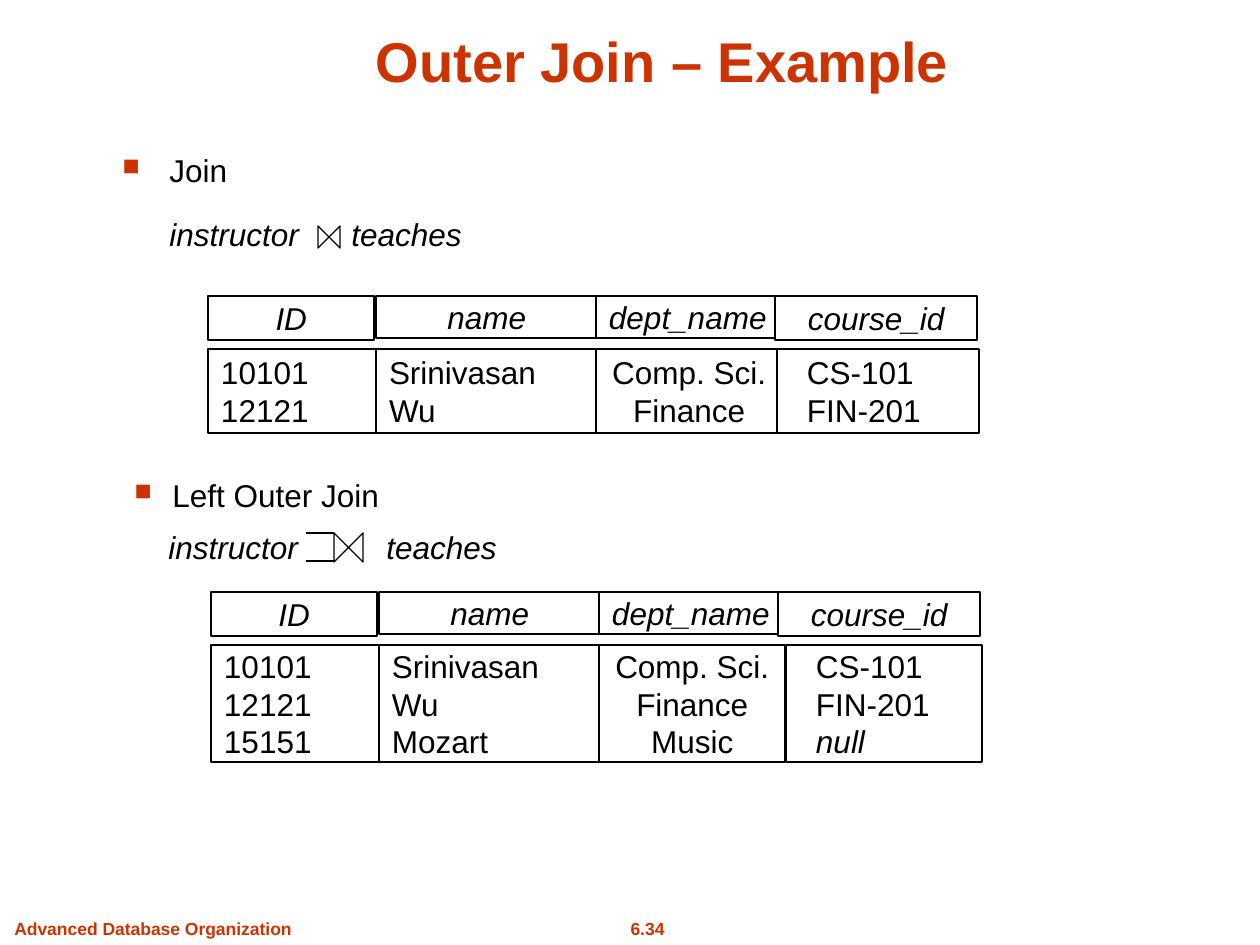
from lxml import etree
from pptx import Presentation
from pptx.dml.color import RGBColor
from pptx.enum.shapes import MSO_CONNECTOR, MSO_SHAPE
from pptx.enum.text import MSO_ANCHOR, PP_ALIGN
from pptx.oxml.ns import qn
from pptx.util import Pt

LEFT, CENTER = PP_ALIGN.LEFT, PP_ALIGN.CENTER
TOP, MIDDLE, BOTTOM = MSO_ANCHOR.TOP, MSO_ANCHOR.MIDDLE, MSO_ANCHOR.BOTTOM
RECT, BOWTIE = MSO_SHAPE.RECTANGLE, MSO_SHAPE.FLOWCHART_COLLATE
STRAIGHT = MSO_CONNECTOR.STRAIGHT
PX = 914400 // 126
FONT = "Arial"
C = {"accent": "CC3300", "ink": "000000", "paper": "FFFFFF"}

LABELS = [
    ("Outer Join – Example", (106, 16, 1113, 84), 32, CENTER, BOTTOM),
    ("Advanced Database Organization", (2, 912, 306, 34), 10, LEFT, TOP),
    ("6.34", (586, 912, 123, 34), 10, CENTER, TOP),
]

SECTIONS = [
    {"heading": "Join", "at": (110, 145), "hang": 47,
     "operands": [("instructor", 157), ("teaches", 339)],
     "operand_y": 209, "bowtie": (318, 226, 22)},
    {"heading": "Left Outer Join", "at": (122, 470), "hang": 38,
     "operands": [("instructor", 156), ("teaches", 374)],
     "operand_y": 522, "bowtie": (334, 533, 29)},
]
HEADING_W, OPERAND_W, LINE_H = 583, 160, 49
OUTER_BARS = [(306, 533, 334), (306, 561, 334)]

COLUMNS = [
    {"name": "ID", "x": 0, "head": (166, 44), "body": 170, "align": LEFT, "inset": 13},
    {"name": "name", "x": 168, "head": (221, 42), "body": 221, "align": LEFT, "inset": 13},
    {"name": "dept_name", "x": 388, "head": (183, 42), "body": 186, "align": CENTER, "inset": 13},
    {"name": "course_id", "x": 567, "head": (202, 44), "body": 202, "align": LEFT, "inset": 30},
]
ROWS = [
    ("10101", "Srinivasan", "Comp. Sci.", "CS-101"),
    ("12121", "Wu", "Finance", "FIN-201"),
    ("15151", "Mozart", "Music", "null"),
]
TABLES = [
    {"at": (208, 296), "rows": ROWS[:2], "height": 84, "course_shift": 2},
    {"at": (211, 592), "rows": ROWS, "height": 117, "course_shift": 8},
]
BODY_DROP = 53


def px(*values):
    return [round(v * PX) for v in values]


def add_run(p, text, size=18, color="ink", bold=False, italic=False):
    r = p.add_run()
    r.text = text
    r.font.name, r.font.size = FONT, Pt(size)
    r.font.bold, r.font.italic = bold, italic
    r.font.color.rgb = RGBColor.from_string(C[color])


def add_box(slide, box):
    tf = slide.shapes.add_textbox(*px(*box)).text_frame
    tf.word_wrap = True
    return tf


def add_child(parent, tag, **attrs):
    return etree.SubElement(parent, qn(tag), {k: str(v) for k, v in attrs.items()})


def add_bullet(p, hang):
    pPr = p._p.get_or_add_pPr()
    pPr.set("marL", str(hang * PX))
    pPr.set("indent", str(-hang * PX))
    add_child(add_child(pPr, "a:buClr"), "a:srgbClr", val=C["accent"])
    add_child(pPr, "a:buSzPct", val=75000)
    add_child(pPr, "a:buChar", char="■")


def style_line(sp):
    sp.line.color.rgb = RGBColor.from_string(C["ink"])
    sp.line.width = Pt(0.75)


def add_section(slide, section):
    p = add_box(slide, (*section["at"], HEADING_W, LINE_H)).paragraphs[0]
    add_bullet(p, section["hang"])
    add_run(p, section["heading"])
    for name, x in section["operands"]:
        tf = add_box(slide, (x, section["operand_y"], OPERAND_W, LINE_H))
        add_run(tf.paragraphs[0], name, italic=True)
    x, y, side = section["bowtie"]
    sp = slide.shapes.add_shape(BOWTIE, *px(x, y, side, side))
    sp.rotation = 270
    sp.shadow.inherit = False
    sp.fill.background()
    style_line(sp)


def add_cell(slide, box, lines, align, inset=13, header=False):
    sp = slide.shapes.add_shape(RECT, *px(*box))
    sp.shadow.inherit = False
    sp.fill.solid()
    sp.fill.fore_color.rgb = RGBColor.from_string(C["paper"])
    style_line(sp)
    tf = sp.text_frame
    tf.word_wrap = False
    tf.vertical_anchor = MIDDLE
    tf.margin_left = inset * PX
    for i, line in enumerate(lines):
        p = tf.add_paragraph() if i else tf.paragraphs[0]
        p.alignment = align
        add_run(p, line, italic=header or line == "null")


def add_relation(slide, table):
    left, top = table["at"]
    for col, values in zip(COLUMNS, zip(*table["rows"])):
        x = left + col["x"]
        shift = table["course_shift"] if col["name"] == "course_id" else 0
        width = col["body"] - max(shift - 2, 0)
        add_cell(slide, (x, top, *col["head"]), [col["name"]], CENTER, header=True)
        add_cell(slide, (x + shift, top + BODY_DROP, width, table["height"]),
                 values, col["align"], col["inset"])


def main():
    prs = Presentation()
    prs.slide_width, prs.slide_height = px(1260, 945)
    slide = prs.slides.add_slide(prs.slide_layouts[6])
    for text, box, size, align, anchor in LABELS:
        tf = add_box(slide, box)
        tf.vertical_anchor = anchor
        p = tf.paragraphs[0]
        p.alignment = align
        add_run(p, text, size, "accent", bold=True)
    for section in SECTIONS:
        add_section(slide, section)
    for x1, y, x2 in OUTER_BARS:
        bar = slide.shapes.add_connector(STRAIGHT, *px(x1, y, x2, y))
        style_line(bar)
        add_child(bar._element.spPr, "a:effectLst")
    for table in TABLES:
        add_relation(slide, table)
    prs.save("out.pptx")


if __name__ == "__main__":
    main()
